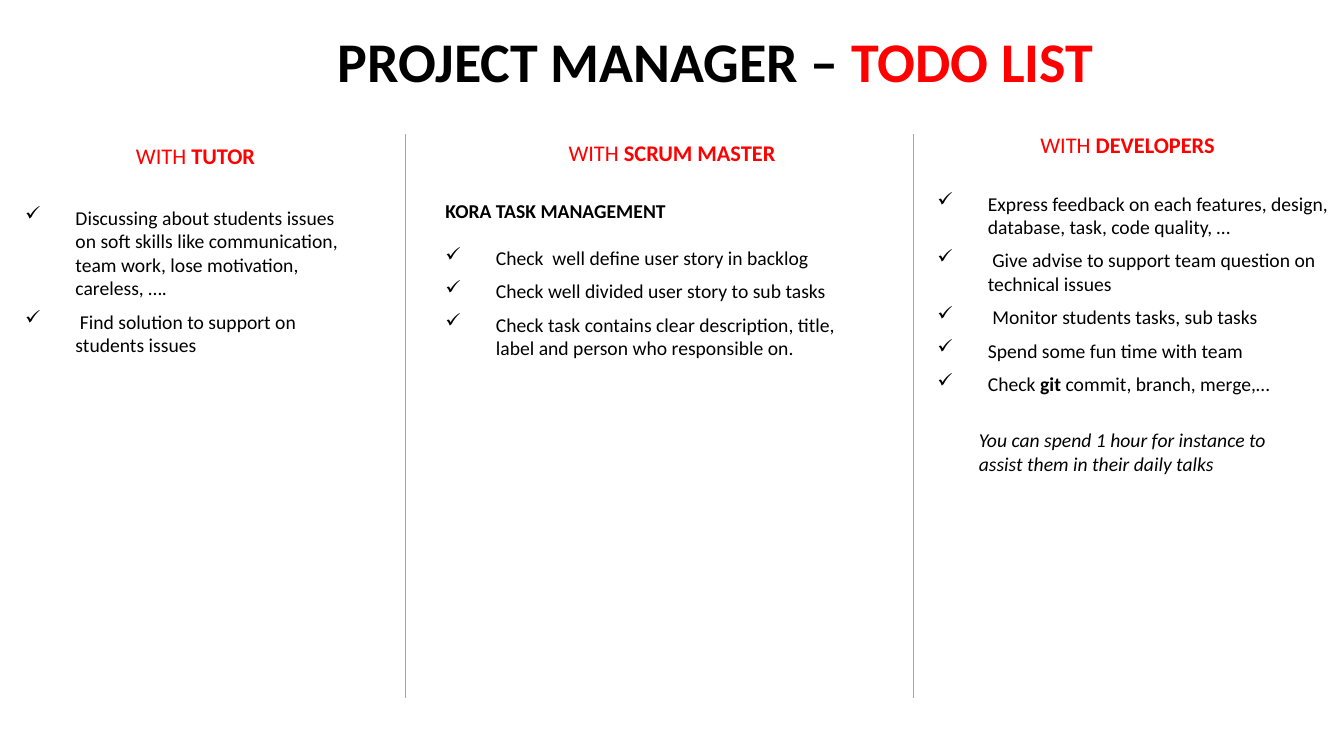
from lxml.etree import SubElement
from pptx import Presentation
from pptx.dml.color import RGBColor
from pptx.enum.shapes import MSO_CONNECTOR
from pptx.enum.text import MSO_AUTO_SIZE as AutoSize
from pptx.oxml.ns import qn
from pptx.util import Pt

PX = 9144
BLACK = RGBColor(0x00, 0x00, 0x00)
RED = RGBColor(0xFF, 0x00, 0x00)
GREY = RGBColor(0xA6, 0xA6, 0xA6)

TUTOR_TASKS = [
    "Discussing about students issues on soft skills like communication, "
    "team work, lose motivation, careless, ….",
    " Find solution to support on students issues",
]
SCRUM_TASKS = [
    "Check  well define user story in backlog",
    "Check well divided user story to sub tasks",
    "Check task contains clear description, title, label and person who responsible on.",
]
DEVELOPER_TASKS = [
    "Express feedback on each features, design, database, task, code quality, …",
    " Give advise to support team question on technical issues",
    " Monitor students tasks, sub tasks",
    "Spend some fun time with team",
    "Check *git* commit, branch, merge,…",
]


def add_text(page, area, lines, size=14, colour=BLACK, wrap=True, checked=False):
    """Add a text box of one paragraph per line, with *starred* parts in bold."""
    box = page.shapes.add_textbox(*(value * PX for value in area))
    frame = box.text_frame
    frame.word_wrap = wrap
    frame.auto_size = AutoSize.SHAPE_TO_FIT_TEXT
    for index, line in enumerate(lines):
        para = frame.add_paragraph() if index else frame.paragraphs[0]
        if index:
            para.space_before = Pt(size / 2)
        if checked:
            add_check(para)
        for part, words in enumerate(line.split("*")):
            if words:
                span = para.add_run()
                span.text = words
                span.font.name = "Calibri"
                span.font.size = Pt(size)
                span.font.bold = part % 2 == 1
                span.font.color.rgb = colour
    return frame


def add_check(para):
    """Give a paragraph a hanging check mark."""
    props = para._p.get_or_add_pPr()
    props.set("marL", str(50 * PX))
    props.set("indent", str(-50 * PX))
    SubElement(props, qn("a:buChar")).set("char", "✓")


def add_title(page, area):
    """Add the slide title, with its last part in red."""
    frame = add_text(page, area, ["*PROJECT MANAGER – *"], 40, wrap=False)
    span = frame.paragraphs[0].add_run()
    span.text = "TODO LIST"
    span.font.name = "Calibri"
    span.font.size = Pt(40)
    span.font.bold = True
    span.font.color.rgb = RED


def add_divider(page, x, top, bottom):
    """Add a thin vertical line between two columns."""
    line = page.shapes.add_connector(
        MSO_CONNECTOR.STRAIGHT, x * PX, top * PX, x * PX, bottom * PX)
    line.line.color.rgb = GREY
    line.line.width = Pt(0.5)
    SubElement(line._element.spPr, qn("a:effectLst"))


def add_column(page, area, role, heading, tasks, list_top, subtitle=None, note=None):
    """Add a heading and a checklist, with an optional subtitle and closing note."""
    left, top, width, height = area
    inset, heading_width = heading
    add_text(page, (left + inset, top, heading_width, 37), [f"WITH *{role}*"],
             16, RED, wrap=False)
    if subtitle:
        add_text(page, (left, top + 59, width, 34), [f"*{subtitle}*"])
    add_text(page, (left, top + list_top, width, height - list_top), tasks, checked=True)
    if note:
        frame = add_text(page, (left + 41, top + 295, 317, 57), [note])
        frame.paragraphs[0].runs[0].font.italic = True


def add_todo_slide(deck):
    """Build the slide with one column of tasks for each role."""
    page = deck.slides.add_slide(deck.slide_layouts[6])
    add_title(page, (325, 21, 777, 77))
    for x in (402, 906):
        add_divider(page, x, 133, 692)
    add_column(page, (15, 136, 338, 262), "TUTOR", (110, 140), TUTOR_TASKS, 63)
    add_column(page, (432, 133, 420, 269), "SCRUM MASTER", (122, 229), SCRUM_TASKS, 106,
               subtitle="KORA TASK MANAGEMENT")
    add_column(page, (920, 125, 420, 282), "DEVELOPERS", (102, 195), DEVELOPER_TASKS, 60,
               note="You can spend 1 hour for instance to assist them in their daily talks")


def main():
    """Create the deck and save it."""
    deck = Presentation()
    deck.slide_width = 1333 * PX
    deck.slide_height = 750 * PX
    add_todo_slide(deck)
    deck.save("out.pptx")


if __name__ == "__main__":
    main()
